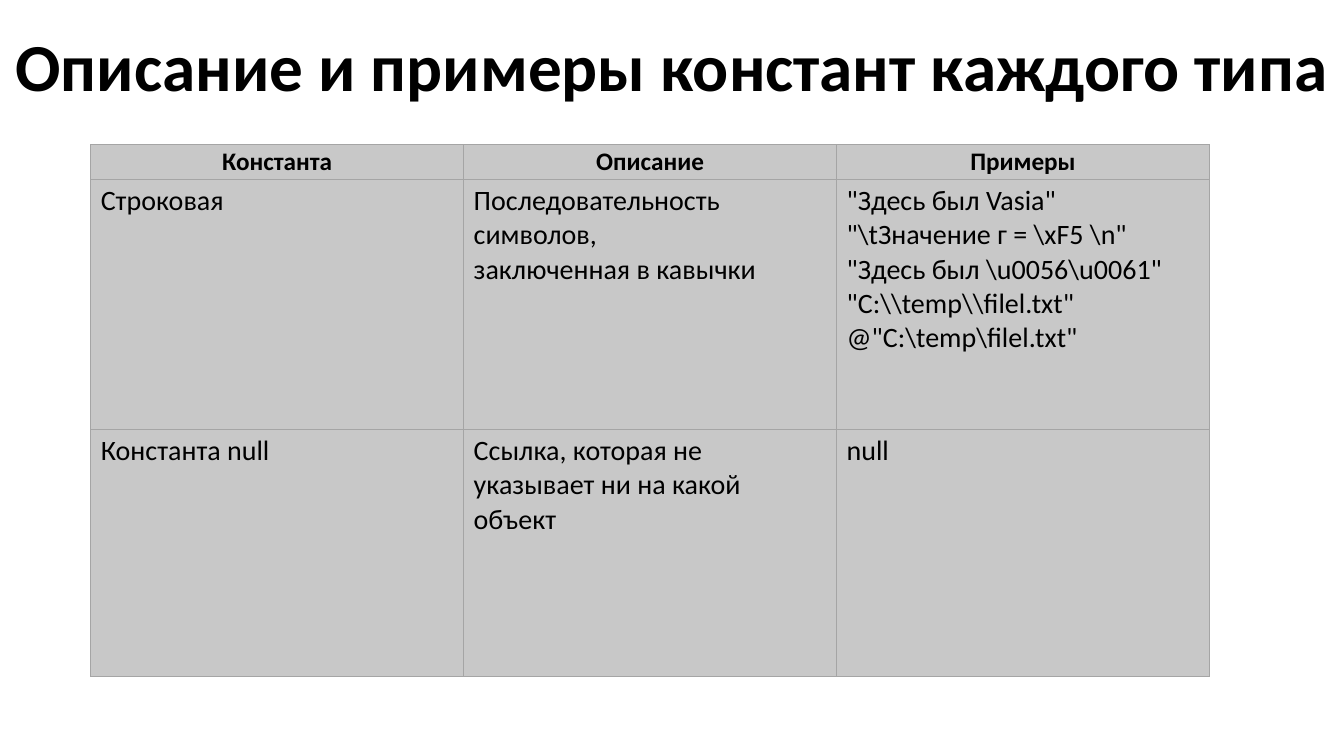
from lxml import etree
from pptx import Presentation
from pptx.dml.color import RGBColor
from pptx.enum.text import MSO_AUTO_SIZE, PP_ALIGN
from pptx.oxml.ns import qn
from pptx.util import Pt

CENTER, LEFT = PP_ALIGN.CENTER, PP_ALIGN.LEFT
FIT_SHAPE = MSO_AUTO_SIZE.SHAPE_TO_FIT_TEXT
FONT = "Calibri"
BLACK, CELL_GRAY, BORDER_GRAY = "000000", "C8C8C8", "A5A5A5"

TITLE = "Описание и примеры констант каждого типа"
HEADER = ["Константа", "Описание", "Примеры"]
CONSTANTS = [
    [
        "Строковая",
        "Последовательность символов,\nзаключенная в кавычки",
        "\n".join([
            r'"Здесь был Vasia"',
            r'"\tЗначение г = \xF5 \n"',
            r'"Здесь был \u0056\u0061"',
            r'"C:\\temp\\filel.txt"',
            r'@"C:\temp\filel.txt"',
        ]),
    ],
    ["Константа null", "Ссылка, которая не указывает ни на какой объект", "null"],
]
COL_WIDTH = 266.4
ROW_HEIGHTS = [21.6, 178.6, 177.1]


def color(hex_value):
    return RGBColor.from_string(hex_value)


def write_text(tf, text, size, bold=False, align=LEFT):
    tf.text = text
    for p in tf.paragraphs:
        p.alignment = align
        for r in p.runs:
            r.font.name = FONT
            r.font.size = Pt(size)
            r.font.bold = bold
            r.font.color.rgb = color(BLACK)


def add_title(s):
    tf = s.shapes.add_textbox(Pt(0), Pt(13.7), Pt(960), Pt(65.5)).text_frame
    tf.word_wrap = True
    tf.auto_size = FIT_SHAPE
    write_text(tf, TITLE, 48, bold=True, align=CENTER)


def set_borders(cell):
    tc_pr = cell._tc.get_or_add_tcPr()
    for side in ("a:lnL", "a:lnR", "a:lnT", "a:lnB"):
        line = etree.SubElement(tc_pr, qn(side), w=str(Pt(0.5)))
        fill = etree.SubElement(line, qn("a:solidFill"))
        etree.SubElement(fill, qn("a:srgbClr"), val=BORDER_GRAY)


def fill_cell(cell, text, is_header):
    set_borders(cell)
    cell.fill.solid()
    cell.fill.fore_color.rgb = color(CELL_GRAY)
    if is_header:
        cell.margin_left = cell.margin_right = Pt(2.9)
        cell.margin_top = cell.margin_bottom = Pt(1.44)
        write_text(cell.text_frame, text, 18, bold=True, align=CENTER)
    else:
        write_text(cell.text_frame, text, 20)


def add_constants_table(s):
    rows = [HEADER] + CONSTANTS
    table = s.shapes.add_table(
        len(rows), len(HEADER), Pt(64.8), Pt(103.3),
        Pt(COL_WIDTH * len(HEADER)), Pt(sum(ROW_HEIGHTS)),
    ).table
    for column in table.columns:
        column.width = Pt(COL_WIDTH)
    for i, (texts, height) in enumerate(zip(rows, ROW_HEIGHTS)):
        table.rows[i].height = Pt(height)
        for j, text in enumerate(texts):
            fill_cell(table.cell(i, j), text, is_header=i == 0)


def main():
    prs = Presentation()
    prs.slide_width, prs.slide_height = Pt(960), Pt(540)
    s = prs.slides.add_slide(prs.slide_layouts[6])
    add_title(s)
    add_constants_table(s)
    prs.save("out.pptx")


if __name__ == "__main__":
    main()
